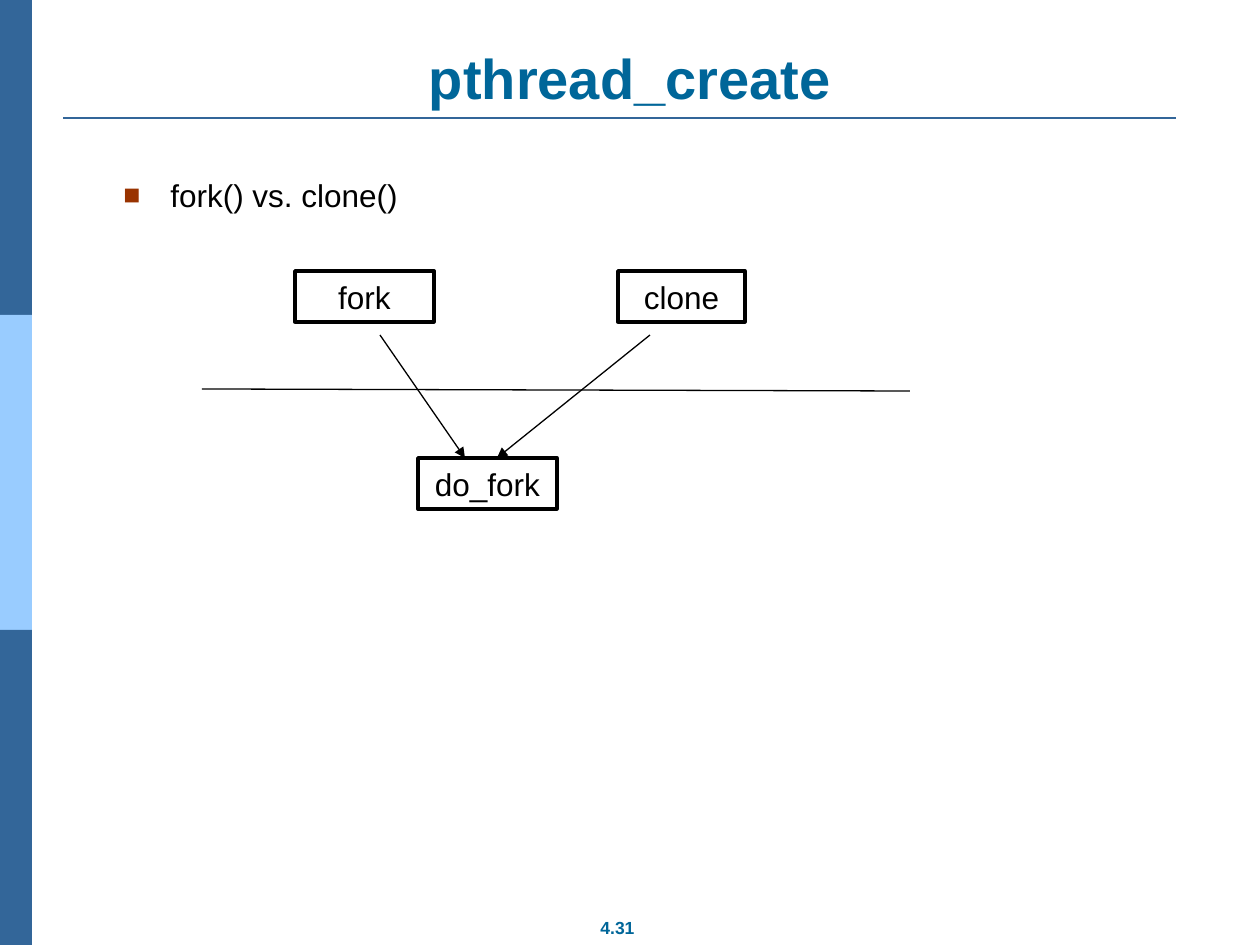
from dataclasses import dataclass

from lxml import etree
from pptx import Presentation
from pptx import util as u
from pptx.dml.color import RGBColor
from pptx.enum import shapes, text
from pptx.oxml.ns import qn

EMU_PER_PX = 914400 / 126
SLIDE_WIDTH, SLIDE_HEIGHT = 1260, 945


@dataclass(frozen=True)
class Theme:
    font: str = "Arial"
    white: str = "FFFFFF"
    black: str = "000000"
    heading: str = "006699"
    band: str = "336699"
    light_band: str = "99CCFF"
    bullet: str = "993300"
    title_size: int = 32
    body_size: int = 18
    number_size: int = 10


THEME = Theme()


def px(length):
    return u.Emu(round(length * EMU_PER_PX))


def color(value):
    return RGBColor.from_string(value)


def write(shape, words, size, ink, bold=False, align=text.PP_ALIGN.CENTER):
    shape.text_frame.text = words
    paragraph = shape.text_frame.paragraphs[0]
    paragraph.alignment = align
    font = paragraph.runs[0].font
    font.name, font.size, font.bold = THEME.font, u.Pt(size), bold
    font.color.rgb = color(ink)
    return paragraph


def add_rectangle(slide, box, fill, outline=None):
    shape = slide.shapes.add_shape(shapes.MSO_SHAPE.RECTANGLE, *map(px, box))
    shape.shadow.inherit = False
    shape.fill.solid()
    shape.fill.fore_color.rgb = color(fill)
    if outline:
        shape.line.color.rgb = color(outline)
        shape.line.width = u.Pt(2)
    else:
        shape.line.fill.background()
    return shape


def add_line(slide, start, end, ink, width, arrow=False):
    line = slide.shapes.add_connector(
        shapes.MSO_CONNECTOR.STRAIGHT, *map(px, (*start, *end)))
    line.line.color.rgb = color(ink)
    line.line.width = u.Pt(width)
    if arrow:
        outline = line.line._get_or_add_ln()
        etree.SubElement(outline, qn("a:tailEnd"), type="triangle")
    etree.SubElement(line._element.spPr, qn("a:effectLst"))


def add_side_bands(slide, box):
    left, top, width, height = box
    band_height = height // 3
    for row, fill in enumerate((THEME.band, THEME.light_band, THEME.band)):
        add_rectangle(slide, (left, top + row * band_height, width, band_height), fill)


def add_title(slide, box, words):
    left, top, width, height = box
    title = slide.shapes.title
    title.left, title.top, title.width, title.height = map(px, box)
    title.text_frame.vertical_anchor = text.MSO_ANCHOR.BOTTOM
    write(title, words, THEME.title_size, THEME.heading, bold=True)
    rule = top + height + 1
    add_line(slide, (left, rule), (left + width - 21, rule), THEME.band, 1.5)


def add_body(slide, box, words):
    body = add_rectangle(slide, box, THEME.white)
    body.text_frame.vertical_anchor = text.MSO_ANCHOR.TOP
    paragraph = write(body, words, THEME.body_size, THEME.black,
                      align=text.PP_ALIGN.LEFT)
    properties = paragraph._p.get_or_add_pPr()
    indent = px(47)
    properties.set("marL", str(indent))
    properties.set("indent", str(-indent))
    bullet_color = etree.SubElement(properties, qn("a:buClr"))
    etree.SubElement(bullet_color, qn("a:srgbClr"), val=THEME.bullet)
    etree.SubElement(properties, qn("a:buSzPct"), val="90000")
    etree.SubElement(properties, qn("a:buFont"), typeface=THEME.font)
    etree.SubElement(properties, qn("a:buChar"), char="■")


def add_call_diagram(slide, box):
    """Draw two calls above a boundary line, both leading to one function below."""
    left, top, width, height = box
    node_height = 51
    nodes = (("fork", 93, 0, 139), ("clone", 416, 0, 127),
             ("do_fork", 216, height - node_height, 139))
    for words, x, y, node_width in nodes:
        node = add_rectangle(slide, (left + x, top + y, node_width, node_height),
                             THEME.white, THEME.black)
        node.text_frame.vertical_anchor = text.MSO_ANCHOR.MIDDLE
        write(node, words, THEME.body_size, THEME.black)

    add_line(slide, (left, top + 118), (left + width, top + 120), THEME.black, 0.75)
    target = top + height - node_height
    for start, end in ((178, 263), (448, 295)):
        add_line(slide, (left + start, top + 64), (left + end, target),
                 THEME.black, 0.75, arrow=True)


def add_page_number(slide, box, words):
    number = slide.shapes.add_textbox(*map(px, box))
    number.text_frame.word_wrap = False
    write(number, words, THEME.number_size, THEME.heading, bold=True)


def main():
    presentation = Presentation()
    presentation.slide_width = px(SLIDE_WIDTH)
    presentation.slide_height = px(SLIDE_HEIGHT)
    slide = presentation.slides.add_slide(presentation.slide_layouts[5])
    add_side_bands(slide, (0, 0, 32, SLIDE_HEIGHT))
    add_page_number(slide, (556, 911, 123, 34), "4.31")
    add_title(slide, (63, 38, 1134, 79), "pthread_create")
    add_body(slide, (111, 170, 1134, 704), "fork() vs. clone()")
    add_call_diagram(slide, (202, 271, 708, 238), )
    presentation.save("out.pptx")


if __name__ == "__main__":
    main()
